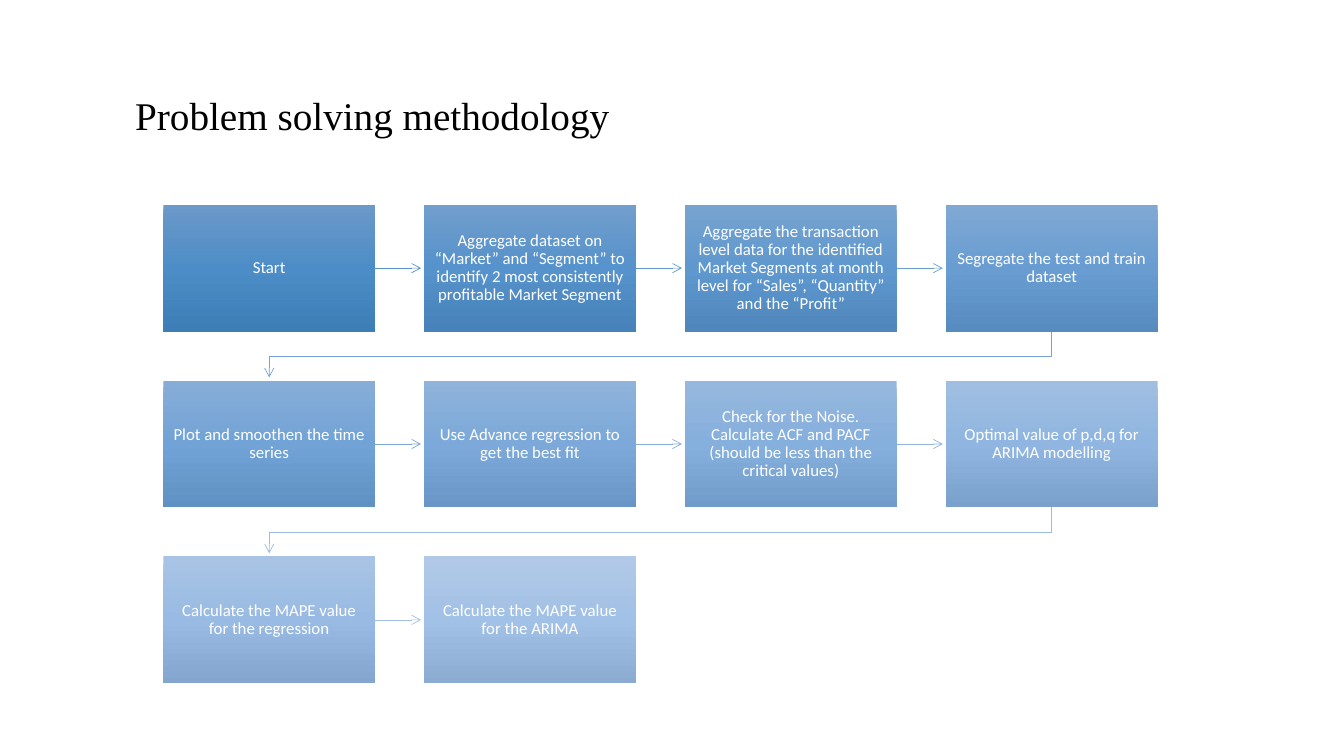
from copy import deepcopy
from dataclasses import dataclass
from itertools import pairwise

from lxml.etree import SubElement
from pptx import Presentation
from pptx.dml.color import RGBColor
from pptx.enum.shapes import MSO_CONNECTOR, MSO_SHAPE
from pptx.enum.text import MSO_ANCHOR, PP_ALIGN
from pptx.oxml.ns import qn
from pptx.util import Inches, Pt


@dataclass(frozen=True)
class Theme:
    title_font: str = "Times New Roman"
    body_font: str = "Calibri"
    title_size: float = 28
    body_size: float = 12
    line_width: float = 0.5
    line_spacing: float = 0.9
    title_color: str = "000000"
    body_color: str = "FFFFFF"


@dataclass(frozen=True)
class Step:
    text: str
    gradient: tuple[str, str, str]
    link_color: str = ""


@dataclass(frozen=True)
class Spot:
    left: float
    top: float

    @property
    def right(self) -> float:
        return self.left + BOX_WIDTH

    @property
    def bottom(self) -> float:
        return self.top + BOX_HEIGHT

    @property
    def center(self) -> float:
        return self.left + BOX_WIDTH / 2

    @property
    def middle(self) -> float:
        return self.top + BOX_HEIGHT / 2


THEME = Theme()
COLUMNS = 4
GRID_LEFT, GRID_TOP = 1.62, 2.03
BOX_WIDTH, BOX_HEIGHT = 2.1, 1.26
COLUMN_PITCH, ROW_PITCH = 2.587, 1.745
ARROW_GAP = 0.03
BOX_INSET = 0.09

STEPS = [
    Step("Start", ("6B99C9", "4D8DC7", "3E7EB7"), "5794CB"),
    Step("Aggregate dataset on “Market” and “Segment” to identify 2 most "
         "consistently profitable Market Segment",
         ("719ECC", "5692CB", "4782BA"), "6199CE"),
    Step("Aggregate the transaction level data for the identified Market Segments "
         "at month level for “Sales”, “Quantity” and the “Profit”",
         ("78A3D0", "5F98CE", "4F87BD"), "6A9ED1"),
    Step("Segregate the test and train dataset",
         ("80A8D3", "699DD2", "578CC0"), "74A4D4"),
    Step("Plot and smoothen the time series",
         ("87ADD7", "72A3D6", "6091C3"), "7EA9D7"),
    Step("Use Advance regression to get the best fit",
         ("8FB3DA", "7CA9D9", "6996C6"), "88AFDA"),
    Step("Check for the Noise. Calculate ACF and PACF "
         "(should be less than the critical values)",
         ("97B8DE", "85AFDC", "719BC9"), "91B5DD"),
    Step("Optimal value of p,d,q for ARIMA modelling",
         ("A0BEE1", "8FB5E0", "7AA0CC"), "9BBBE0"),
    Step("Calculate the MAPE value for the regression",
         ("A8C3E4", "99BBE3", "83A5CE"), "A5C1E3"),
    Step("Calculate the MAPE value for the ARIMA",
         ("B1C9E7", "A2C1E6", "8CABD1")),
]


def set_values(target, values: dict) -> None:
    for name, value in values.items():
        setattr(target, name, value)


def write_text(frame, text: str, align, font: str, size: float, color: str) -> None:
    set_values(frame, {"word_wrap": True, "vertical_anchor": MSO_ANCHOR.MIDDLE})
    para = frame.paragraphs[0]
    set_values(para, {"alignment": align, "line_spacing": THEME.line_spacing})
    span = para.add_run()
    span.text = text
    set_values(span.font, {"name": font, "size": Pt(size)})
    span.font.color.rgb = RGBColor.from_string(color)


def fill_gradient(box, colors: tuple[str, str, str]) -> None:
    box.fill.gradient()
    box.fill.gradient_angle = 270
    first_stop = box._element.spPr.find(".//" + qn("a:gs"))
    first_stop.addnext(deepcopy(first_stop))
    for index, (stop, color) in enumerate(zip(box.fill.gradient_stops, colors)):
        stop.position = index / 2
        stop.color.rgb = RGBColor.from_string(color)


def draw_step(page, step: Step, spot: Spot) -> None:
    box = page.shapes.add_shape(
        MSO_SHAPE.RECTANGLE, Inches(spot.left), Inches(spot.top),
        Inches(BOX_WIDTH), Inches(BOX_HEIGHT))
    box.shadow.inherit = False
    box.line.fill.background()
    fill_gradient(box, step.gradient)
    sides = ("left", "right", "top", "bottom")
    set_values(box.text_frame, {f"margin_{side}": Inches(BOX_INSET) for side in sides})
    write_text(box.text_frame, step.text, PP_ALIGN.CENTER,
               THEME.body_font, THEME.body_size, THEME.body_color)


def style_arrow(arrow, color: str) -> None:
    arrow.line.color.rgb = RGBColor.from_string(color)
    arrow.line.width = Pt(THEME.line_width)
    properties = arrow._element.spPr
    SubElement(properties.find(qn("a:ln")), qn("a:tailEnd"), type="arrow")
    SubElement(properties, qn("a:effectLst"))


def draw_straight_arrow(page, start: Spot, end: Spot, color: str) -> None:
    arrow = page.shapes.add_connector(
        MSO_CONNECTOR.STRAIGHT, Inches(start.right), Inches(start.middle),
        Inches(end.left - ARROW_GAP), Inches(end.middle))
    style_arrow(arrow, color)


def draw_return_arrow(page, start: Spot, end: Spot, color: str) -> None:
    bend = (start.bottom + end.top) / 2
    corners = [(start.center, bend), (end.center, bend),
               (end.center, end.top - ARROW_GAP)]
    builder = page.shapes.build_freeform(Inches(start.center), Inches(start.bottom))
    builder.add_line_segments([(Inches(x), Inches(y)) for x, y in corners], close=False)
    arrow = builder.convert_to_shape()
    arrow.fill.background()
    style_arrow(arrow, color)


def main() -> None:
    deck = Presentation()
    set_values(deck, {"slide_width": Inches(13.33), "slide_height": Inches(7.5)})
    page = deck.slides.add_slide(deck.slide_layouts[5])
    title = page.shapes.title
    set_values(title, {"left": Inches(1.24), "top": Inches(0.7),
                       "width": Inches(10.19), "height": Inches(0.94)})
    write_text(title.text_frame, "Problem solving methodology", PP_ALIGN.LEFT,
               THEME.title_font, THEME.title_size, THEME.title_color)

    spots = []
    for index, step in enumerate(STEPS):
        row, column = divmod(index, COLUMNS)
        spot = Spot(GRID_LEFT + column * COLUMN_PITCH, GRID_TOP + row * ROW_PITCH)
        draw_step(page, step, spot)
        spots.append(spot)

    for step, (start, end) in zip(STEPS, pairwise(spots)):
        draw_arrow = draw_straight_arrow if start.top == end.top else draw_return_arrow
        draw_arrow(page, start, end, step.link_color)

    deck.save("out.pptx")


main()
